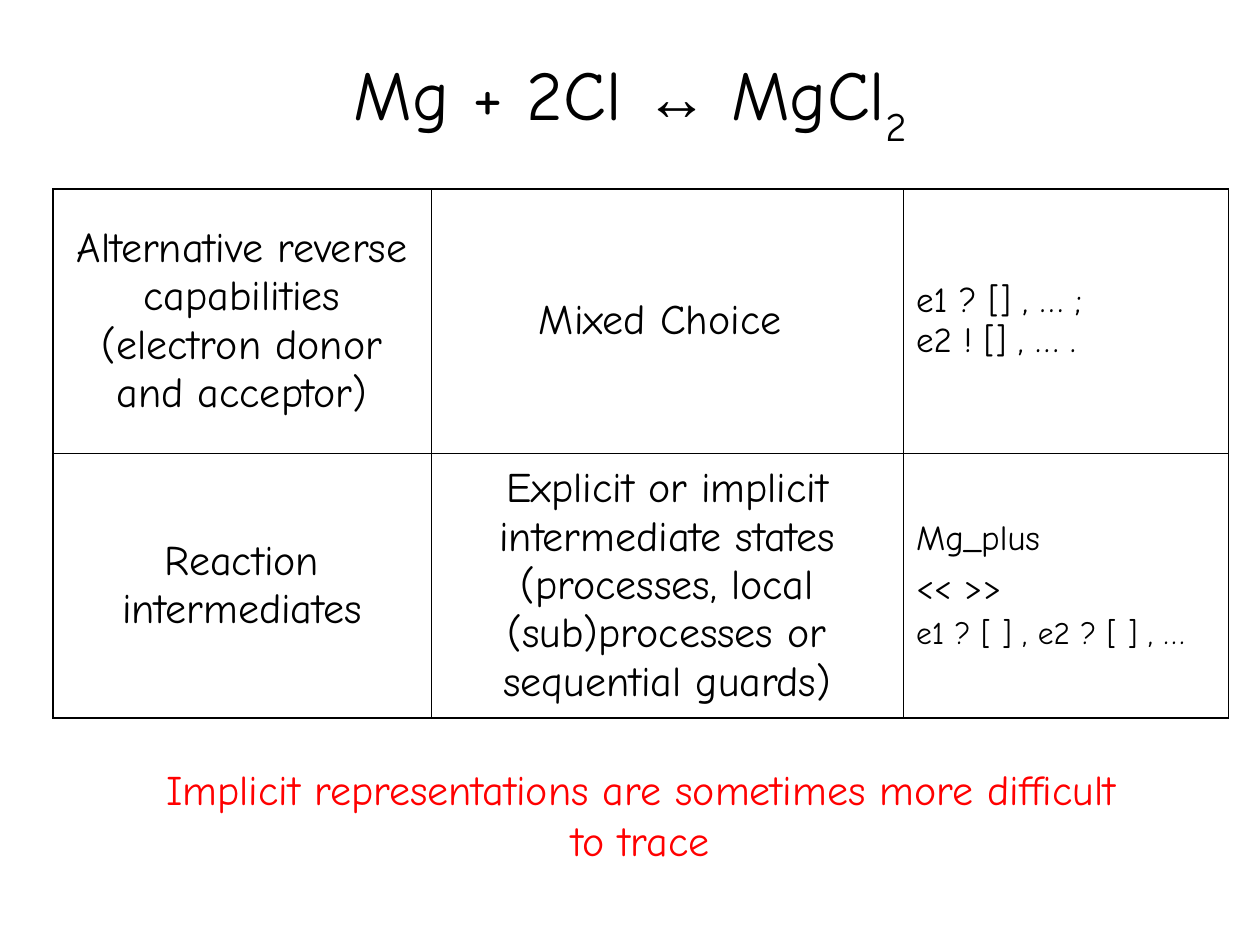
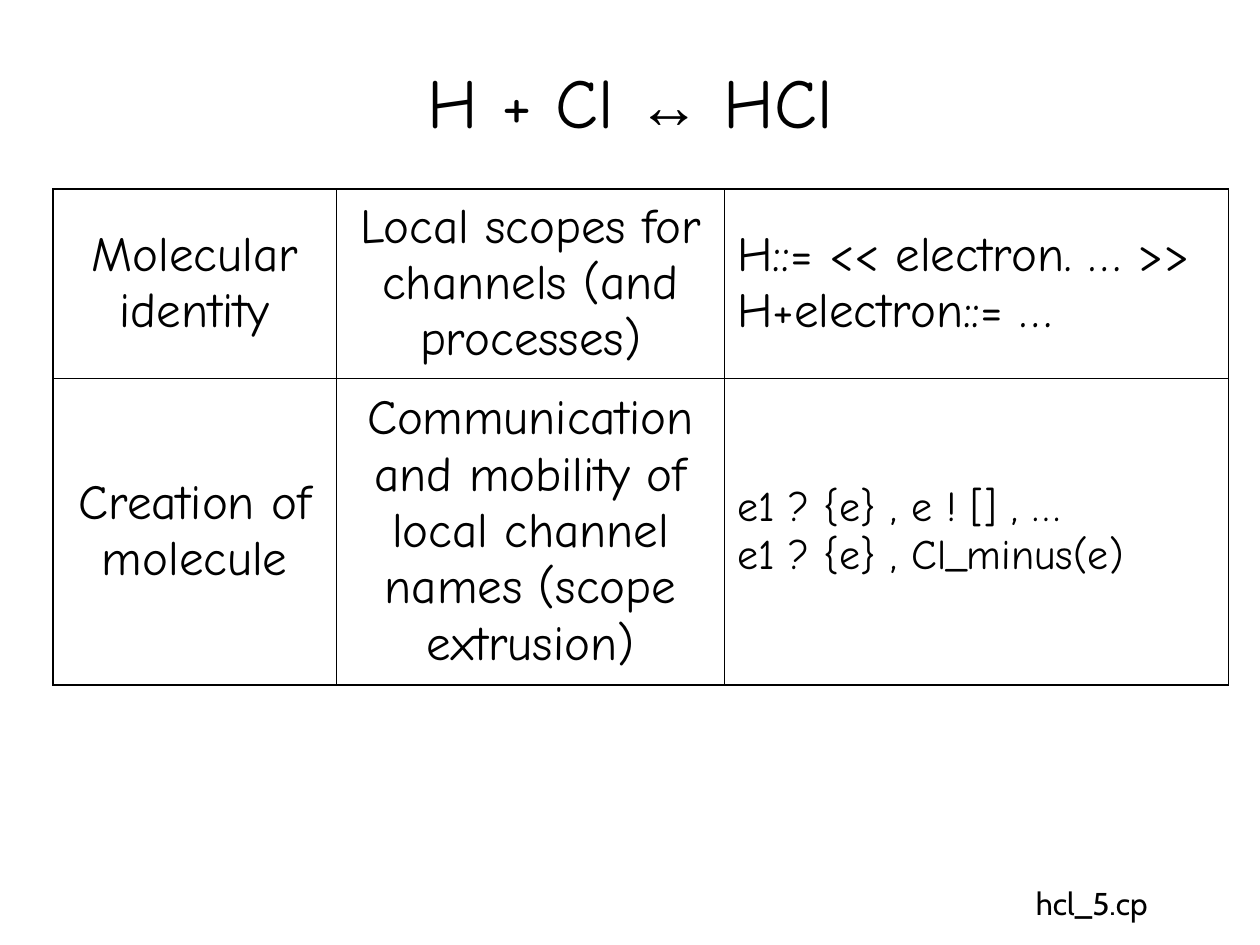
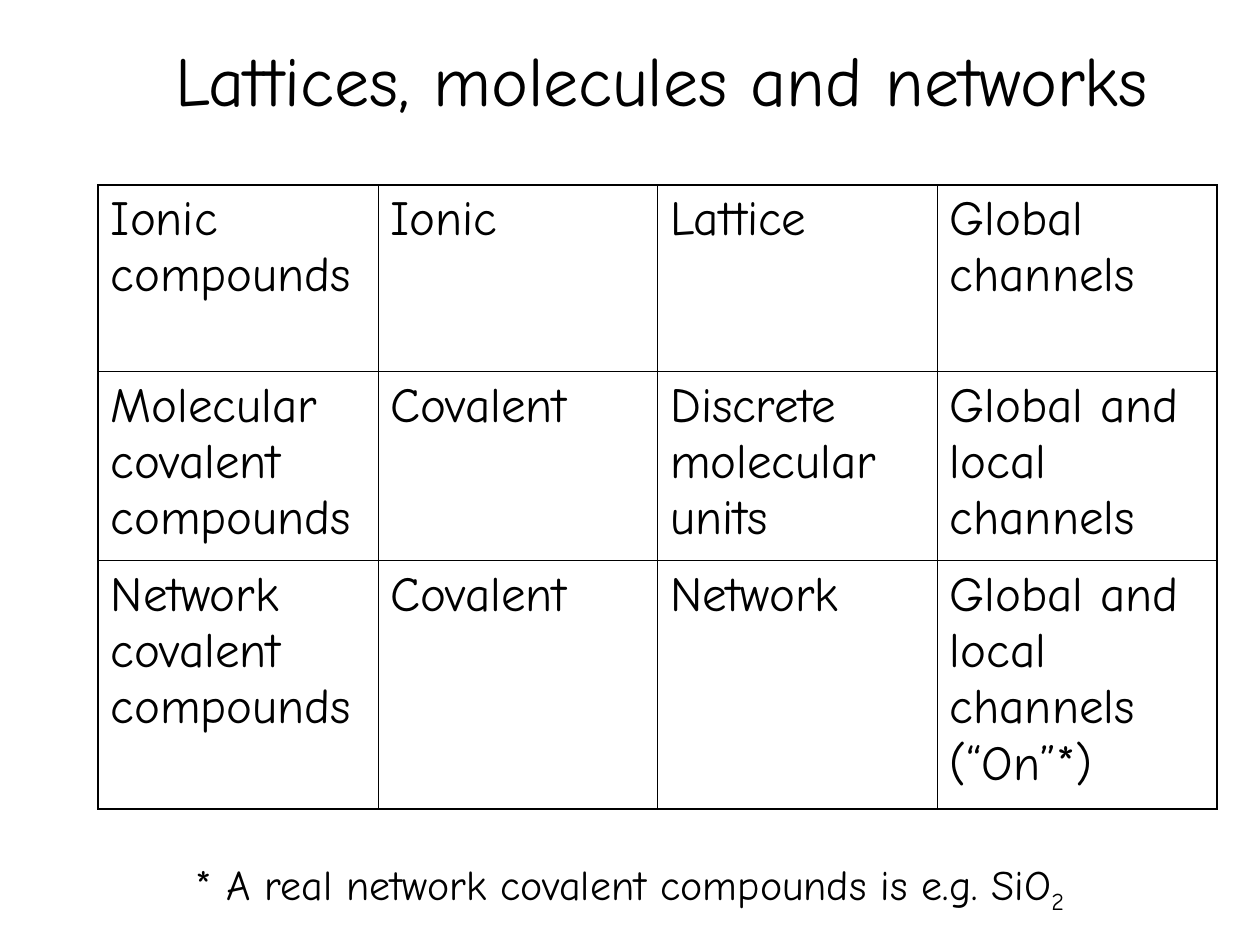
from lxml import etree
from pptx import Presentation
from pptx import util as u
from pptx.dml.color import RGBColor
from pptx.enum import text
from pptx.oxml import ns

BLACK, RED = "000000", "FF0000"
MAIN, SIGN, CODE = "Comic Neue", "Arial", "Cabin"
THICK, THIN = 1.08, 0.45
LEFT, MID = text.PP_ALIGN.LEFT, text.PP_ALIGN.CENTER


def paint(hue):
    """Turn a hex string into a colour."""
    return RGBColor.from_string(hue)


class Deck:
    """Hold the style and the current slide."""

    def __init__(self):
        """Start an empty 10 by 7.5 inch deck."""
        self.prs = Presentation()
        self.prs.slide_width, self.prs.slide_height = u.Inches(10), u.Inches(7.5)

    def page(self):
        """Add a blank slide and make it current."""
        self.slide = self.prs.slides.add_slide(self.prs.slide_layouts[6])

    def style(self, para, size, align=MID, hue=BLACK, face=MAIN):
        """Set the font and alignment of a paragraph."""
        para.alignment = align
        font = para.font
        font.size, font.name = u.Pt(size), face
        font.color.rgb = paint(hue)

    def label(self, box, words, size, wrap=False, **look):
        """Add a centred text box and return its paragraph."""
        frame = self.slide.shapes.add_textbox(*map(u.Inches, box)).text_frame
        frame.word_wrap = wrap
        frame.vertical_anchor = text.MSO_ANCHOR.MIDDLE
        para = frame.paragraphs[0]
        para.text = words
        self.style(para, size, **look)
        return para

    def title(self, words, top=0.17, width=8.5):
        """Add the slide title and return its paragraph."""
        return self.label((0.75, top, width, 1.25), words, 40, wrap=True)

    def formula(self, start, end):
        """Add a title with a two-way reaction arrow."""
        para = self.title(start + " ")
        arrow = para.add_run()
        arrow.text = "↔"
        arrow.font.name, arrow.font.size = SIGN, u.Pt(36)
        para.add_run().text = " " + end
        return para

    def sub(self, para, words, drop):
        """Append a subscript lowered by a percentage."""
        run = para.add_run()
        run.text = words
        run._r.get_or_add_rPr().set("baseline", str(-1000 * drop))

    def edge(self, cell, side, width):
        """Draw one border of a cell."""
        props = cell._tc.get_or_add_tcPr()
        line = etree.SubElement(props, ns.qn("a:ln" + side), w=str(u.Pt(width)))
        fill = etree.SubElement(line, ns.qn("a:solidFill"))
        etree.SubElement(fill, ns.qn("a:srgbClr"), val=BLACK)

    def cell(self, cell, paras, align, anchor):
        """Fill a cell with (words, size) paragraphs."""
        cell.vertical_anchor = anchor
        frame = cell.text_frame
        for i, (words, size) in enumerate(paras):
            para = frame.add_paragraph() if i else frame.paragraphs[0]
            para.text = words
            para.space_before = u.Pt(size / 4)
            self.style(para, size, align)

    def table(self, spot, cols, rows, cells, size, aligns,
              anchor=text.MSO_ANCHOR.MIDDLE):
        """Add a grid with a thick frame and thin inner lines."""
        box = (*spot, sum(cols), sum(rows))
        grid = self.slide.shapes.add_table(
            len(rows), len(cols), *map(u.Inches, box)).table
        grid.first_row = grid.horz_banding = False
        for col, width in zip(grid.columns, cols):
            col.width = u.Inches(width)
        for row, height in zip(grid.rows, rows):
            row.height = u.Inches(height)
        for r, line in enumerate(cells):
            for c, item in enumerate(line):
                cell = grid.cell(r, c)
                paras = [(item, size)] if isinstance(item, str) else item
                self.cell(cell, paras, aligns[c], anchor)
                outer = {"L": c == 0, "R": c == len(cols) - 1,
                         "T": r == 0, "B": r == len(rows) - 1}
                for side, rim in outer.items():
                    self.edge(cell, side, THICK if rim else THIN)
                cell.fill.background()


def salt(deck):
    """Build the magnesium chloride slide."""
    deck.page()
    deck.sub(deck.formula("Mg + 2Cl", "MgCl"), "2", 30)
    deck.table((0.42, 1.5), (3, 3.75, 2.58), (2.1, 2.1), (
        ("Alternative reverse capabilities (electron donor and acceptor)",
         "Mixed Choice ",
         [("e1 ? [] , … ;\ne2 ! [] , … .", 20)]),
        ("Reaction intermediates",
         "Explicit or implicit intermediate states "
         "(processes, local (sub)processes or sequential guards)",
         [("Mg_plus", 20), ("<< >>", 20), ("e1 ? [ ] , e2 ? [ ] , …", 18)]),
    ), 24, (MID, MID, LEFT))
    deck.label((1.17, 6.17, 7.83, 0.58),
               "Implicit representations are sometimes more difficult to trace",
               24, hue=RED)


def acid(deck):
    """Build the hydrogen chloride slide."""
    deck.page()
    deck.formula("H + Cl", "HCl")
    deck.table((0.42, 1.5), (2.25, 3.08, 4), (1.5, 2.43), (
        ("Molecular identity",
         "Local scopes for channels (and processes)",
         "H::= << electron. … >>\nH+electron::= …"),
        ("Creation of molecule",
         "Communication and mobility of local channel names (scope extrusion)",
         [("e1 ? {e} , e ! [] , …\ne1 ? {e} , Cl_minus(e)", 24)]),
    ), 28, (MID, MID, LEFT))
    deck.label((7.33, 6.92, 2.67, 0.5), "hcl_5.cp", 18, face=CODE)


def kinds(deck):
    """Build the slide that compares kinds of compounds."""
    deck.page()
    deck.title("Lattices, molecules and networks", 0, 9)
    deck.table((0.78, 1.47), [2.22] * 4, (1.48, 1.5, 1.97), (
        ("Ionic compounds", "Ionic", "Lattice", "Global channels"),
        ("Molecular covalent compounds", "Covalent",
         "Discrete molecular units", "Global and local channels"),
        ("Network covalent compounds", "Covalent", "Network",
         "Global and local channels (“On”*)"),
    ), 28, [LEFT] * 4, text.MSO_ANCHOR.TOP)
    note = deck.label((0, 6.58, 10, 0.92),
                      "* A real network covalent compounds is e.g. SiO", 24)
    deck.sub(note, "2", 25)


def main():
    """Build and save the deck."""
    deck = Deck()
    for build in (salt, acid, kinds):
        build(deck)
    deck.prs.save("out.pptx")


if __name__ == "__main__":
    main()
